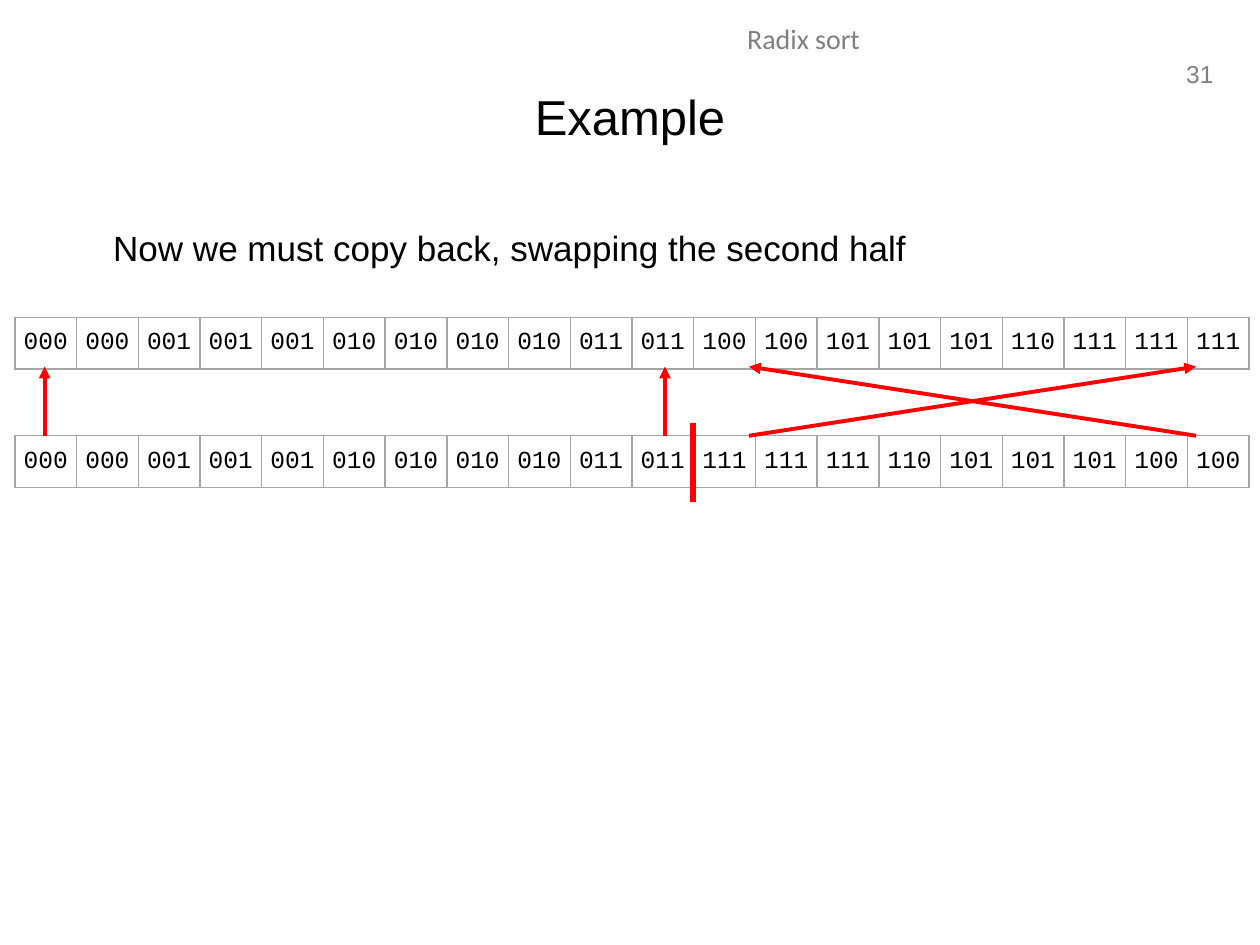
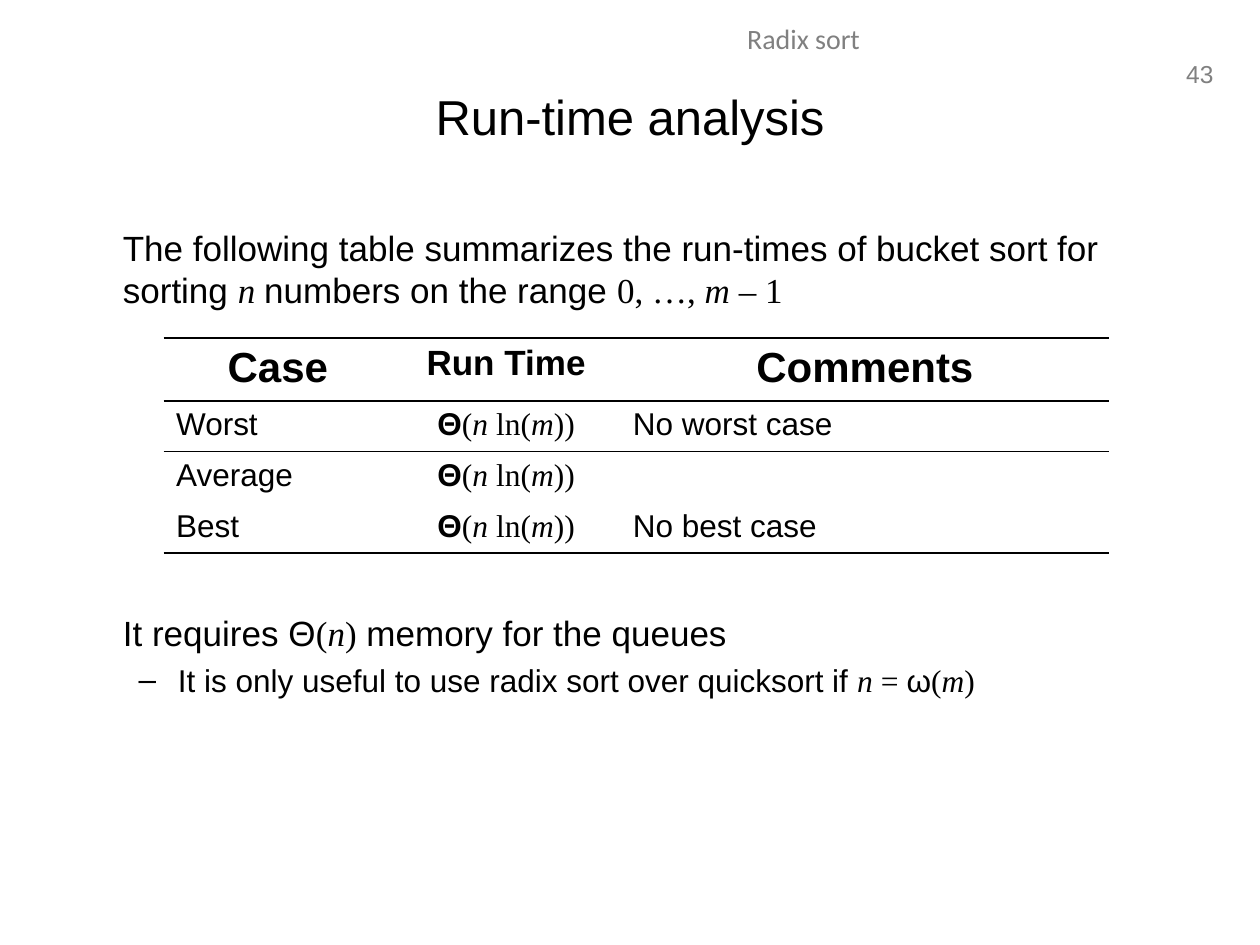
from pptx import Presentation
from pptx.dml.color import RGBColor
from pptx.enum import shapes, text
from pptx.oxml import ns, xmlchemy
from pptx.util import Pt
from lxml import etree

BLACK = RGBColor(0, 0, 0)
GREY = RGBColor(0x80, 0x80, 0x80)
EDGE = RGBColor(0xA6, 0xA6, 0xA6)
RED = RGBColor(0xFF, 0, 0)
ARIAL, TIMES, MONO, HEAD = "Arial", "Times New Roman", "Courier New", "Calibri"
MID, RIGHT = text.PP_ALIGN.CENTER, text.PP_ALIGN.RIGHT
NO_GRID = "{2D5ABB26-0587-4C30-8999-92F81FD0307C}"

# Bits of the two halves after the sorting pass
LOW = "000 000 001 001 001 010 010 010 010 011 011".split()
HIGH = "100 100 101 101 101 110 111 111 111".split()

# Run styles: t = Times, i = Times italic, b = bold
TIME = [("Θ", "b"), ("(", "t"), ("n ", "i"), ("ln(", "t"), ("m", "i"), ("))", "t")]
CASES = [("Worst", "No worst case"), ("Average", ""), ("Best", "No best case")]


def sub(parent, tag, **attrs):
    return etree.SubElement(parent, ns.qn(tag), attrs)


def write(par, runs, size, font=ARIAL, color=BLACK, align=None):
    """Add runs, given as one string or as (words, style) pairs."""
    par.alignment = align
    if isinstance(runs, str):
        runs = [(runs, "")] if runs else []
    for words, style in runs:
        run = par.add_run()
        run.text = words
        face = run.font
        face.name = TIMES if style in ("t", "i") else font
        face.size = Pt(size)
        face.color.rgb = color
        face.bold = style == "b"
        face.italic = style == "i"


def place(shape, left, top, width, height):
    shape.left, shape.top = Pt(left), Pt(top)
    shape.width, shape.height = Pt(width), Pt(height)


# Parts that every slide has
def label(slide, box, words, size, font, align, wrap):
    frame = slide.shapes.add_textbox(*map(Pt, box)).text_frame
    frame.word_wrap = wrap
    write(frame.paragraphs[0], words, size, font, GREY, align)


def start(deck, title, number):
    slide = deck.slides.add_slide(deck.slide_layouts[1])
    label(slide, (669, 30, 31.5, 24), number, 14, ARIAL, RIGHT, False)
    label(slide, (229.5, 8.5, 459.5, 29), "Radix sort", 16, HEAD, MID, True)
    head, body = slide.shapes.title, slide.placeholders[1]
    place(head, 36, 21.5, 648, 90)
    place(body, 36, 126, 648, 356.5)
    head.text_frame.vertical_anchor = text.MSO_ANCHOR.MIDDLE
    write(head.text_frame.paragraphs[0], title, 28, align=MID)
    body.text_frame.auto_size = text.MSO_AUTO_SIZE.NONE
    return slide, body.text_frame


def item(par, runs, size, margin, before=0, mark=None, hang=0):
    """Fill a body paragraph, with a hanging mark if one is given."""
    par.space_before = Pt(before)
    props = par._p.get_or_add_pPr()
    props.set("marL", str(Pt(margin)))
    props.set("indent", str(-Pt(hang)))
    if mark:
        sub(props, "a:buChar", char=mark)
    else:
        sub(props, "a:buNone")
    write(par, runs, size)


# Tables and lines
def grid(slide, left, top, widths, heights):
    frame = slide.shapes.add_table(
        len(heights), len(widths), Pt(left), Pt(top), Pt(sum(widths)), Pt(sum(heights)))
    table = frame.table
    table.first_row = table.horz_banding = False
    table._tbl.tblPr.find(ns.qn("a:tableStyleId")).text = NO_GRID
    for col, width in zip(table.columns, widths):
        col.width = Pt(width)
    for row, height in zip(table.rows, heights):
        row.height = Pt(height)
    return table


def border(cell, sides, color):
    """Draw the given sides (of L, R, T, B, in that order) and clear the fill."""
    props = cell._tc.get_or_add_tcPr()
    for side in sides:
        line = sub(props, "a:ln" + side, w=str(Pt(1)))
        sub(sub(line, "a:solidFill"), "a:srgbClr", val=str(color))
    cell.fill.background()


def stroke(slide, x1, y1, x2, y2, width, arrow=False):
    line = slide.shapes.add_connector(
        shapes.MSO_CONNECTOR.STRAIGHT, *map(Pt, (x1, y1, x2, y2)))
    line.line.color.rgb = RED
    line.line.width = Pt(width)
    if arrow:
        sub(line.line._get_or_add_ln(), "a:tailEnd", type="triangle")
    sub(line._element.spPr, "a:effectLst")


def strip(slide, left, top, bits):
    table = grid(slide, left, top, [35.28] * len(bits), [29.5])
    for cell, bit in zip(table.iter_cells(), bits):
        cell.margin_left = cell.margin_right = cell.margin_top = cell.margin_bottom = 0
        cell.vertical_anchor = text.MSO_ANCHOR.MIDDLE
        border(cell, "LRTB", EDGE)
        write(cell.text_frame.paragraphs[0], bit, 14, MONO, align=MID)


def swap(slide, left, top):
    """Two bit strips, with arrows that copy the lower one back."""
    low = top + 67.5
    strip(slide, left, top, LOW + HIGH)
    strip(slide, left, low, LOW + HIGH[::-1])
    stroke(slide, left + 387.5, low - 7, left + 387.5, low + 38, 3)
    for begin, end in [(17, 17), (371.5, 371.5), (675, 419.5), (419.5, 675)]:
        stroke(slide, left + begin, low, left + end, low - 39.5, 2.25, True)


def times(slide, left, top):
    """Run-time table, ruled above, below and under its heads."""
    table = grid(slide, left, top, [130.5, 130.5, 279.5], [35.5, 29, 29, 29])
    heads = [("Case", 24), ("Run Time", 20), ("Comments", 24)]
    for cell, (words, size) in zip(table.rows[0].cells, heads):
        border(cell, "TB", BLACK)
        write(cell.text_frame.paragraphs[0], [(words, "b")], size, align=MID)
    for row, (case, note) in enumerate(CASES, 1):
        sides = {1: "T", len(CASES): "B"}.get(row, "")
        for col, runs in enumerate((case, TIME, note)):
            cell = table.cell(row, col)
            border(cell, sides, BLACK)
            write(cell.text_frame.paragraphs[0], runs, 18, align=MID if col == 1 else None)


# Slides
def example(deck):
    slide, body = start(deck, "Example", "31")
    item(body.paragraphs[0], "Now we must copy back, swapping the second half", 20, 21.5)
    swap(slide, 8.5, 181.5)


def analysis(deck):
    slide, body = start(deck, "Run-time analysis", "43")
    item(body.paragraphs[0], [
        ("The following table summarizes the run-times of bucket sort for sorting ", ""),
        ("n ", "i"), ("numbers on the range ", ""),
        ("0, …, ", "t"), ("m", "i"), (" – 1", "t")], 20, 27)
    item(body.add_paragraph(), [
        ("It requires Θ", ""), ("(", "t"), ("n", "i"), (")", "t"),
        (" memory for the queues", "")], 20, 27, before=172)
    point = body.add_paragraph()
    point.level = 1
    item(point, [
        ("It is only useful to use radix sort over quicksort if ", ""),
        ("n", "i"), (" = ", "t"), ("ω", ""), ("(", "t"), ("m", "i"), (")", "t")],
        18, 58.5, before=4, mark="–", hang=22.5)
    times(slide, 93.5, 193)


def main():
    deck = Presentation()
    deck.slide_width, deck.slide_height = Pt(720), Pt(540)
    example(deck)
    analysis(deck)
    deck.save("out.pptx")


if __name__ == "__main__":
    main()
